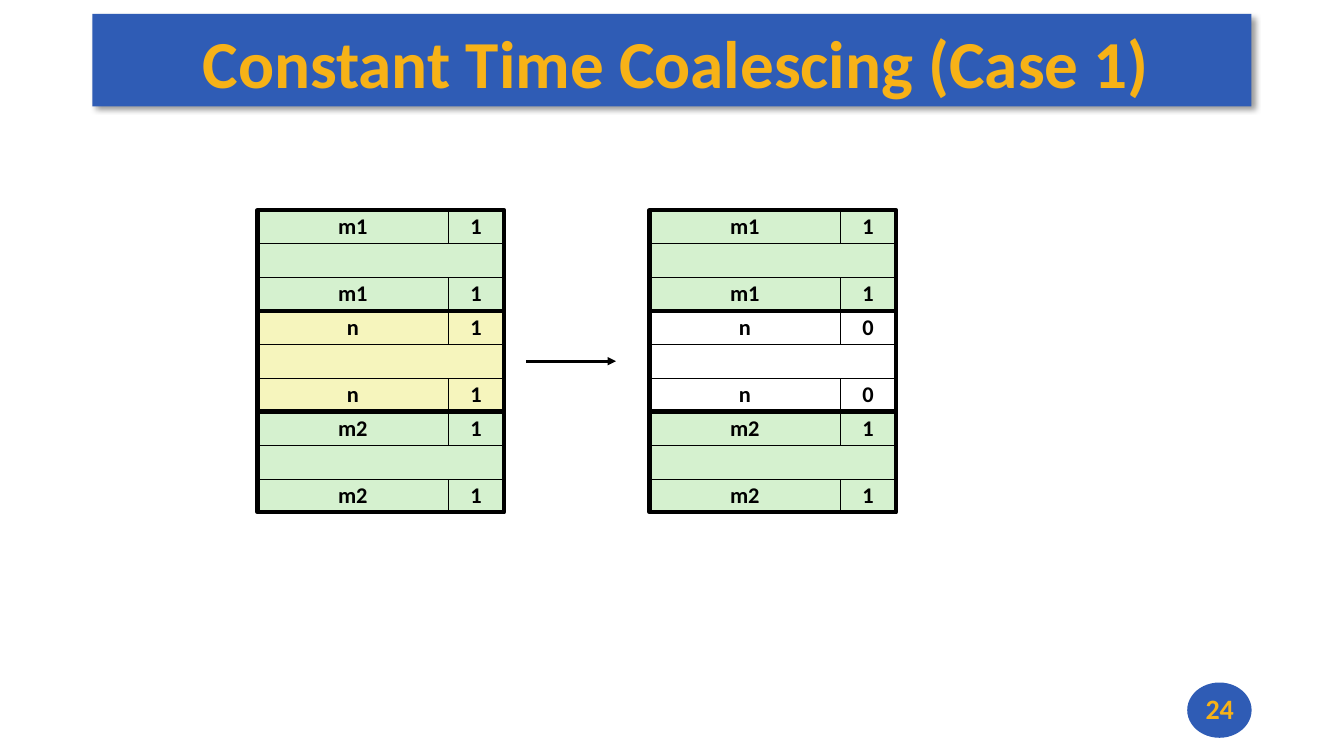
"""Build the slide on constant time coalescing, case 1."""
from lxml import etree
from pptx import Presentation
from pptx.dml.color import RGBColor
from pptx.enum.shapes import MSO_CONNECTOR, MSO_SHAPE
from pptx.enum.text import MSO_ANCHOR, PP_ALIGN
from pptx.oxml.ns import qn
from pptx.util import Pt

RECTANGLE = MSO_SHAPE.RECTANGLE
OVAL = MSO_SHAPE.OVAL
STRAIGHT = MSO_CONNECTOR.STRAIGHT
MIDDLE = MSO_ANCHOR.MIDDLE
CENTER = PP_ALIGN.CENTER

BLUE = RGBColor(0x2F, 0x5C, 0xB5)
GOLD = RGBColor(0xF7, 0xB2, 0x17)
GREEN = RGBColor(0xD5, 0xF1, 0xCF)
YELLOW = RGBColor(0xF6, 0xF5, 0xBD)
WHITE = RGBColor(0xFF, 0xFF, 0xFF)
BLACK = RGBColor(0x00, 0x00, 0x00)

ROW_HEIGHT = 24
SIZE_WIDTH = 136
FLAG_WIDTH = 40
HEAP_WIDTH = SIZE_WIDTH + FLAG_WIDTH
BLOCK_HEIGHT = 3 * ROW_HEIGHT
HEAP_TOP = 150
HEAPS = {
    184: [("m1", "1", GREEN), ("n", "1", YELLOW), ("m2", "1", GREEN)],
    464: [("m1", "1", GREEN), ("n", "0", WHITE), ("m2", "1", GREEN)],
}


class SlideBuilder:
    """Draw the elements of one slide in a shared style."""

    font_name = "Calibri"

    def __init__(self, slide):
        self.shapes = slide.shapes

    def shape(self, kind, left, top, width, height, fill=None, line_width=0):
        """Add a preset shape with an optional fill and black outline."""
        shape = self.shapes.add_shape(kind, Pt(left), Pt(top), Pt(width), Pt(height))
        shape.shadow.inherit = False
        if fill is None:
            shape.fill.background()
        else:
            shape.fill.solid()
            shape.fill.fore_color.rgb = fill
        if line_width:
            shape.line.color.rgb = BLACK
            shape.line.width = Pt(line_width)
        else:
            shape.line.fill.background()
        return shape

    def label(self, shape, text, size, color, wrap=True, spacing=1.0):
        """Put one bold centred paragraph into a shape."""
        frame = shape.text_frame
        frame.word_wrap = wrap
        frame.vertical_anchor = MIDDLE
        paragraph = frame.paragraphs[0]
        paragraph.text = text
        paragraph.alignment = CENTER
        paragraph.line_spacing = spacing
        font_format = {"name": self.font_name, "size": Pt(size), "bold": True}
        for attribute, value in font_format.items():
            setattr(paragraph.font, attribute, value)
        paragraph.font.color.rgb = color

    def text_box(self, left, top, width, height, text, size, margins=None):
        """Add a gold text box."""
        box = self.shapes.add_textbox(Pt(left), Pt(top), Pt(width), Pt(height))
        for side, value in (margins or {}).items():
            setattr(box.text_frame, f"margin_{side}", Pt(value))
        self.label(box, text, size, GOLD)

    def drop_shadow(self, shape):
        """Give a shape a soft shadow to the lower right."""
        effects = shape._element.spPr.find(qn("a:effectLst"))
        shadow = etree.SubElement(effects, qn("a:outerShdw"), blurRad=str(Pt(4)),
                                  dist=str(Pt(3)), dir="2700000", algn="tl", rotWithShape="0")
        color = etree.SubElement(shadow, qn("a:srgbClr"), val=str(BLACK))
        etree.SubElement(color, qn("a:alpha"), val="40000")

    def cell(self, left, top, width, fill, text=""):
        """Add one thin-lined field of a memory block."""
        shape = self.shape(RECTANGLE, left, top, width, ROW_HEIGHT, fill, 0.25)
        if text:
            self.label(shape, text, 16, BLACK, wrap=False, spacing=0.98)

    def block(self, left, top, size, flag, fill):
        """Add a block with matching header and footer around its payload."""
        for row in (0, 2):
            row_top = top + row * ROW_HEIGHT
            self.cell(left, row_top, SIZE_WIDTH, fill, size)
            self.cell(left + SIZE_WIDTH, row_top, FLAG_WIDTH, fill, flag)
        self.cell(left, top + ROW_HEIGHT, HEAP_WIDTH, fill)
        self.shape(RECTANGLE, left, top, HEAP_WIDTH, BLOCK_HEIGHT, line_width=3)

    def arrow(self, start_x, start_y, end_x, end_y):
        """Add a straight black arrow."""
        connector = self.shapes.add_connector(
            STRAIGHT, Pt(start_x), Pt(start_y), Pt(end_x), Pt(end_y))
        connector.line.color.rgb = BLACK
        connector.line.width = Pt(2)
        properties = connector._element.spPr
        line = properties.find(qn("a:ln"))
        etree.SubElement(line, qn("a:tailEnd"), type="triangle")
        etree.SubElement(properties, qn("a:effectLst"))


def main():
    """Draw the slide and save it."""
    presentation = Presentation()
    presentation.slide_width = Pt(960)
    presentation.slide_height = Pt(540)
    builder = SlideBuilder(presentation.slides.add_slide(presentation.slide_layouts[6]))

    title_bar = builder.shape(RECTANGLE, 66, 10, 828, 66, BLUE)
    builder.drop_shadow(title_bar)
    builder.text_box(65, 13, 830, 62.5, "Constant Time Coalescing (Case 1)", 48,
                     {"left": 6, "top": 2, "right": 0, "bottom": 2})

    for left, blocks in HEAPS.items():
        for index, (size, flag, fill) in enumerate(blocks):
            builder.block(left, HEAP_TOP + index * BLOCK_HEIGHT, size, flag, fill)
    builder.arrow(376, 258, 440, 258)

    builder.shape(OVAL, 848, 487.5, 46, 39.5, BLUE)
    builder.text_box(848, 487.5, 46.5, 37.5, "24", 20)

    presentation.save("out.pptx")


if __name__ == "__main__":
    main()
